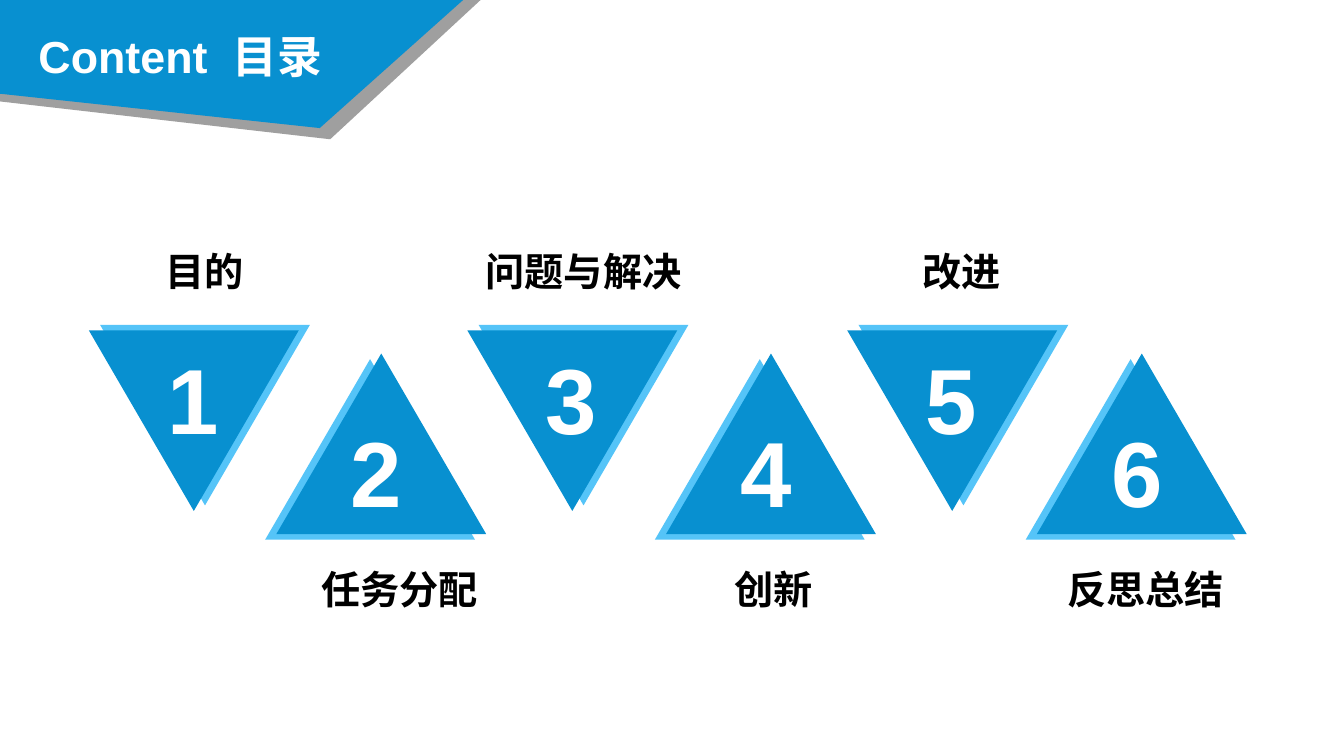
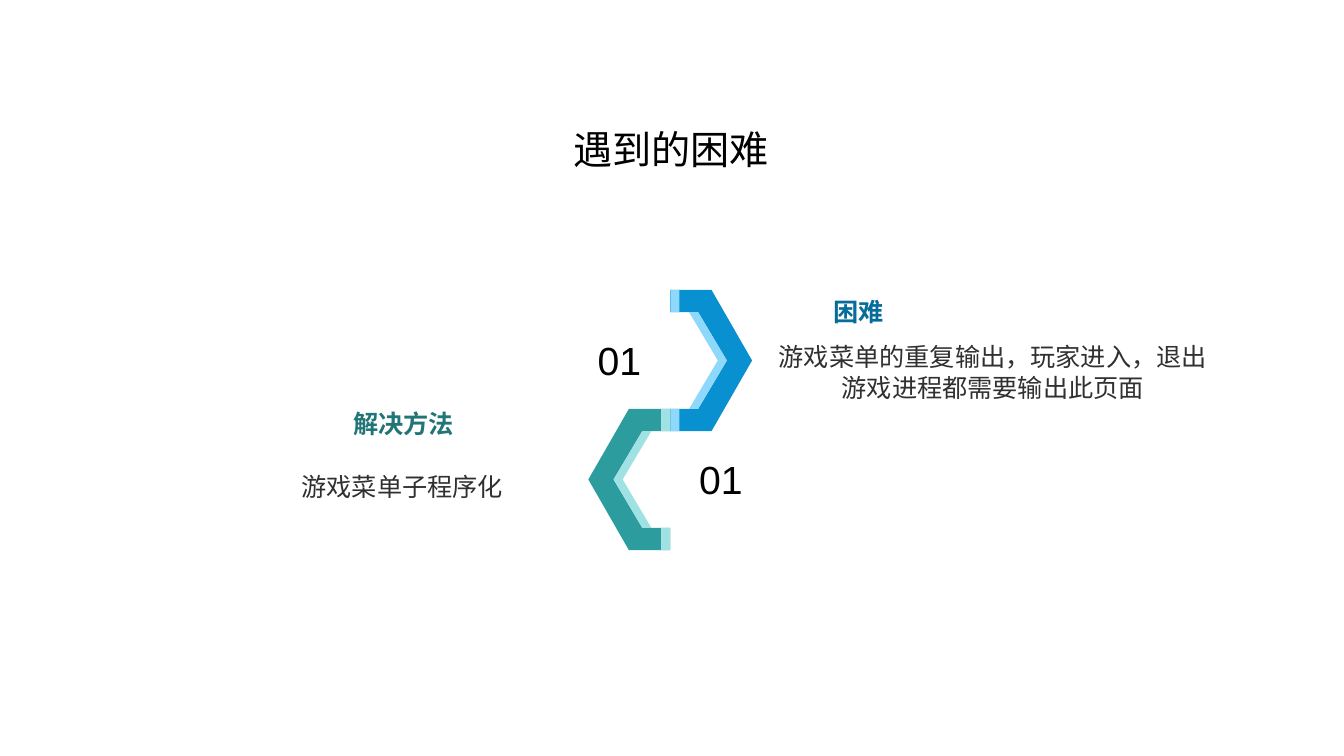
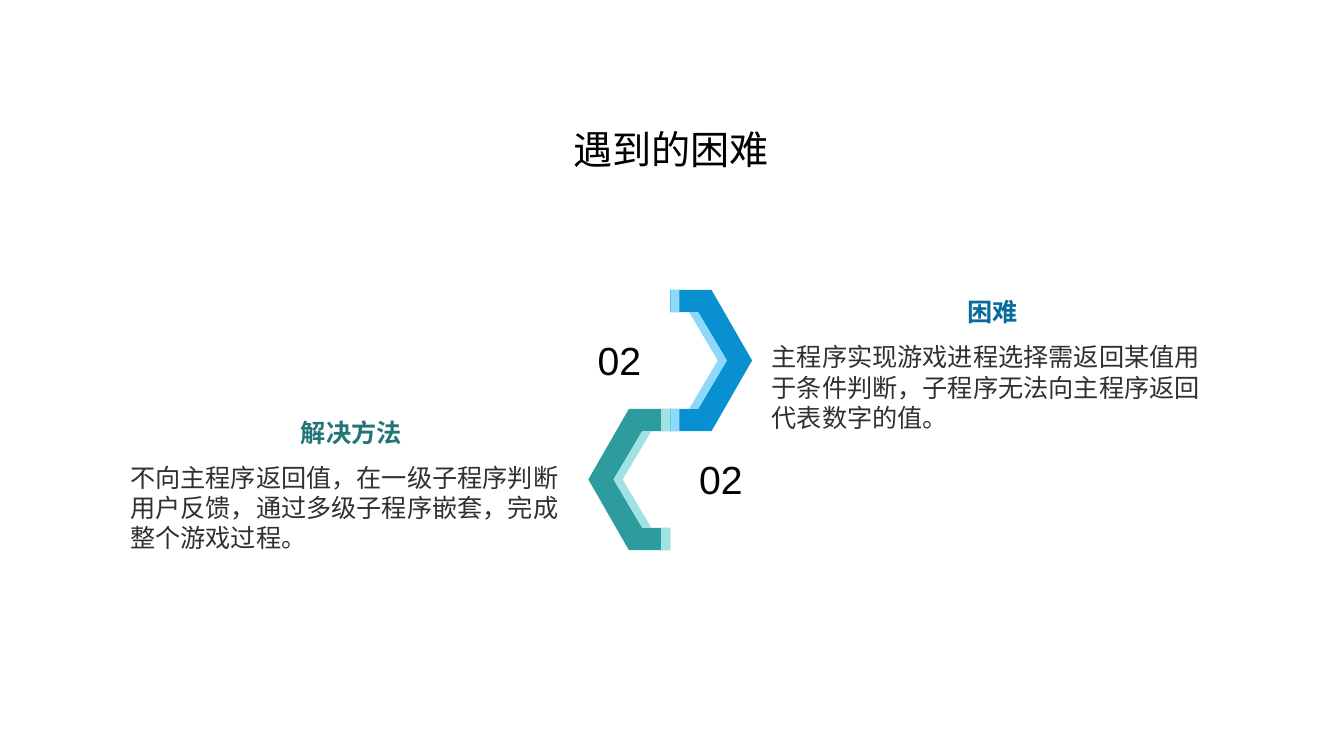
from lxml.etree import SubElement
from pptx import Presentation
from pptx.dml.color import RGBColor
from pptx.enum.lang import MSO_LANGUAGE_ID as Lang
from pptx.enum.shapes import MSO_SHAPE as Shape
from pptx.enum.text import MSO_ANCHOR as Anchor, PP_ALIGN as Align
from pptx.oxml.ns import qn
from pptx.util import Pt


def rgb(code):
    return RGBColor.from_string(code)


class Deck:
    FONT = "Arial"
    BLUE, SKY, PALE_BLUE, DEEP_BLUE = "0890D0", "55C4F8", "8ED8FB", "066C9C"
    TEAL, PALE_TEAL, DEEP_TEAL = "2D9C9F", "A0E2E4", "227577"
    GREY, BODY, BLACK, WHITE = "9F9F9F", "303030", "000000", "FFFFFF"
    NO_INSET = (0, 0, 0, 0)
    INSET = (7.2, 3.6, 7.2, 3.6)

    def __init__(self):
        self.file = Presentation()
        self.file.slide_width, self.file.slide_height = Pt(960.48), Pt(540)
        self.slide = None

    def new_slide(self):
        self.slide = self.file.slides.add_slide(self.file.slide_layouts[6])

    def paint(self, shape, color):
        shape.shadow.inherit = False
        shape.fill.solid()
        shape.fill.fore_color.rgb = rgb(color)
        shape.line.fill.background()

    def text(self, text, left, top, width, height, size=18, color=BLACK, bold=False,
             align=Align.CENTER, anchor=Anchor.MIDDLE, inset=NO_INSET):
        frame = self.slide.shapes.add_textbox(Pt(left), Pt(top), Pt(width), Pt(height)).text_frame
        frame.word_wrap = True
        frame.vertical_anchor = anchor
        (frame.margin_left, frame.margin_top,
         frame.margin_right, frame.margin_bottom) = map(Pt, inset)
        paragraph = frame.paragraphs[0]
        paragraph.alignment = align
        run = paragraph.add_run()
        run.text = text
        font = run.font
        font.size, font.bold, font.name = Pt(size), bold, self.FONT
        font.color.rgb = rgb(color)
        font.language_id = Lang.SIMPLIFIED_CHINESE
        SubElement(run._r.get_or_add_rPr(), qn("a:ea"), typeface=self.FONT)

    def outline(self, contours, color):
        first, *others = [[(Pt(x), Pt(y)) for x, y in contour] for contour in contours]
        builder = self.slide.shapes.build_freeform(*first[0])
        builder.add_line_segments(first[1:])
        for contour in others:
            builder.move_to(*contour[0])
            builder.add_line_segments(contour[1:])
        self.paint(builder.convert_to_shape(), color)

    def triangle(self, left, top, color, rotation):
        shape = self.slide.shapes.add_shape(
            Shape.ISOSCELES_TRIANGLE, Pt(left), Pt(top), Pt(150), Pt(129))
        shape.rotation = rotation
        self.paint(shape, color)

    def section(self, number, name, left, label_left):
        down = number % 2 == 1
        top, side, rotation = (236, 1, 180) if down else (252.5, -1, 0)
        self.triangle(left + 8 * side, top - 4 * side, self.SKY, rotation)
        self.triangle(left, top, self.BLUE, rotation)
        self.text(str(number), left + (49 if down else 46), 241 if down else 293, 62, 86.5,
                  size=66, color=self.WHITE, bold=True, align=Align.LEFT,
                  anchor=Anchor.TOP, inset=self.INSET)
        self.text(name, label_left, 172.5 if down else 400.5, 223, 41, size=28, bold=True,
                  anchor=Anchor.BOTTOM if down else Anchor.TOP, inset=self.INSET)

    def banner(self):
        self.outline([[(0, 0), (343.5, 0), (236, 99.5), (0, 72.5), (0, 0)]], self.GREY)
        self.outline([[(0, 0), (331, 0), (228.5, 91.5), (0, 67), (0, 0)]], self.BLUE)
        for word, left, width in (("Content", 15, 146), ("目录", 150, 96)):
            self.text(word, left, 9.5, width, 72.5, size=32, color=self.WHITE, bold=True,
                      inset=(0, 0, 0, 11.5))

    def bracket(self, top, side, color, pale):
        def placed(*contours):
            return [[(479 + side * x, top + y) for x, y in contour] for contour in contours]

        self.outline(placed(
            [(29.5, 0), (0, 0), (0, 16), (20, 16), (40.5, 50.5), (20, 85), (0, 85),
             (0, 101), (29.5, 101), (58.5, 50.5), (29.5, 0)]), color)
        self.outline(placed(
            [(0, 85), (6.5, 85), (6.5, 101), (0, 101), (0, 85)],
            [(13.5, 16), (20, 16), (40.5, 50.5), (20, 85), (13.5, 85), (34, 50.5), (13.5, 16)],
            [(0, 0), (6.5, 0), (6.5, 16), (0, 16), (0, 0)]), pale)

    def difficulty(self, number, problem, solution):
        self.new_slide()
        self.text("遇到的困难", 205, 73.5, 549.5, 65.5, size=28, inset=self.INSET)
        sides = (
            ("困难", problem, 207, 1, 395.5, self.BLUE, self.PALE_BLUE, self.DEEP_BLUE),
            ("解决方法", solution, 292, -1, 468, self.TEAL, self.PALE_TEAL, self.DEEP_TEAL),
        )
        for heading, part, top, side, number_left, color, pale, deep in sides:
            self.bracket(top, side, color, pale)
            self.text(number, number_left, top + 10, 94.5, 80.5, size=28)
            self.text(heading, *part["heading"], 42.5, color=deep, bold=True)
            self.text(part["text"], *part["body"], 94.5, color=self.BODY,
                      align=part.get("align", Align.LEFT), anchor=Anchor.TOP)


def main():
    deck = Deck()

    deck.new_slide()
    deck.banner()
    sections = (
        ("目的", 63.5, 34.5),
        ("任务分配", 197.5, 174),
        ("问题与解决", 334, 305.5),
        ("创新", 476, 441.5),
        ("改进", 605.5, 576),
        ("反思总结", 741, 707),
    )
    for number, (name, left, label_left) in enumerate(sections, 1):
        deck.section(number, name, left, label_left)

    deck.difficulty(
        "01",
        {"heading": (551.5, 201.5, 124.5), "body": (551.5, 244, 316), "align": Align.CENTER,
         "text": "游戏菜单的重复输出，玩家进入，退出游戏进程都需要输出此页面"},
        {"heading": (130.5, 281.5, 316), "body": (215.5, 336.5, 204),
         "text": "游戏菜单子程序化"})
    deck.difficulty(
        "02",
        {"heading": (551.5, 201.5, 316), "body": (551.5, 244, 316),
         "text": "主程序实现游戏进程选择需返回某值用于条件判断，子程序无法向主程序返回代表数字的值。"},
        {"heading": (93, 287.5, 316), "body": (93, 330, 316),
         "text": "不向主程序返回值，在一级子程序判断用户反馈，通过多级子程序嵌套，完成整个游戏过程。"})

    deck.file.save("out.pptx")


if __name__ == "__main__":
    main()
